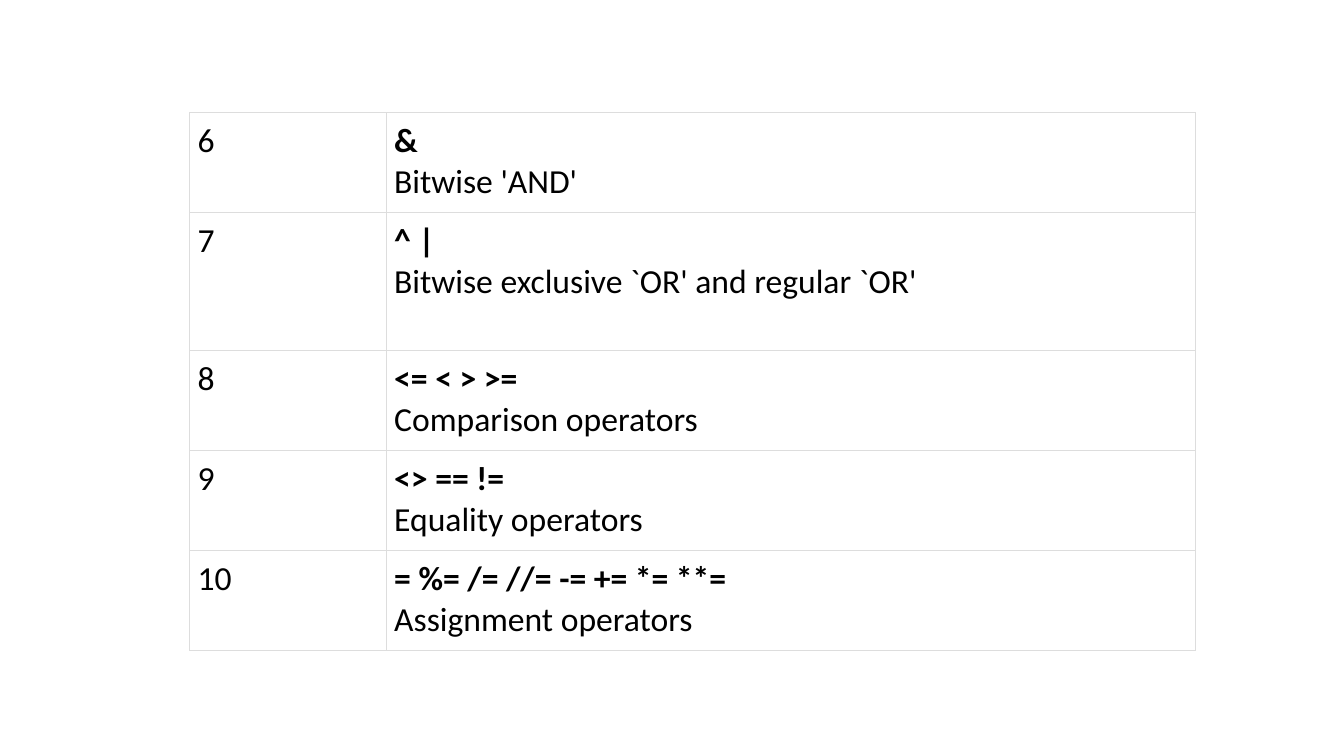
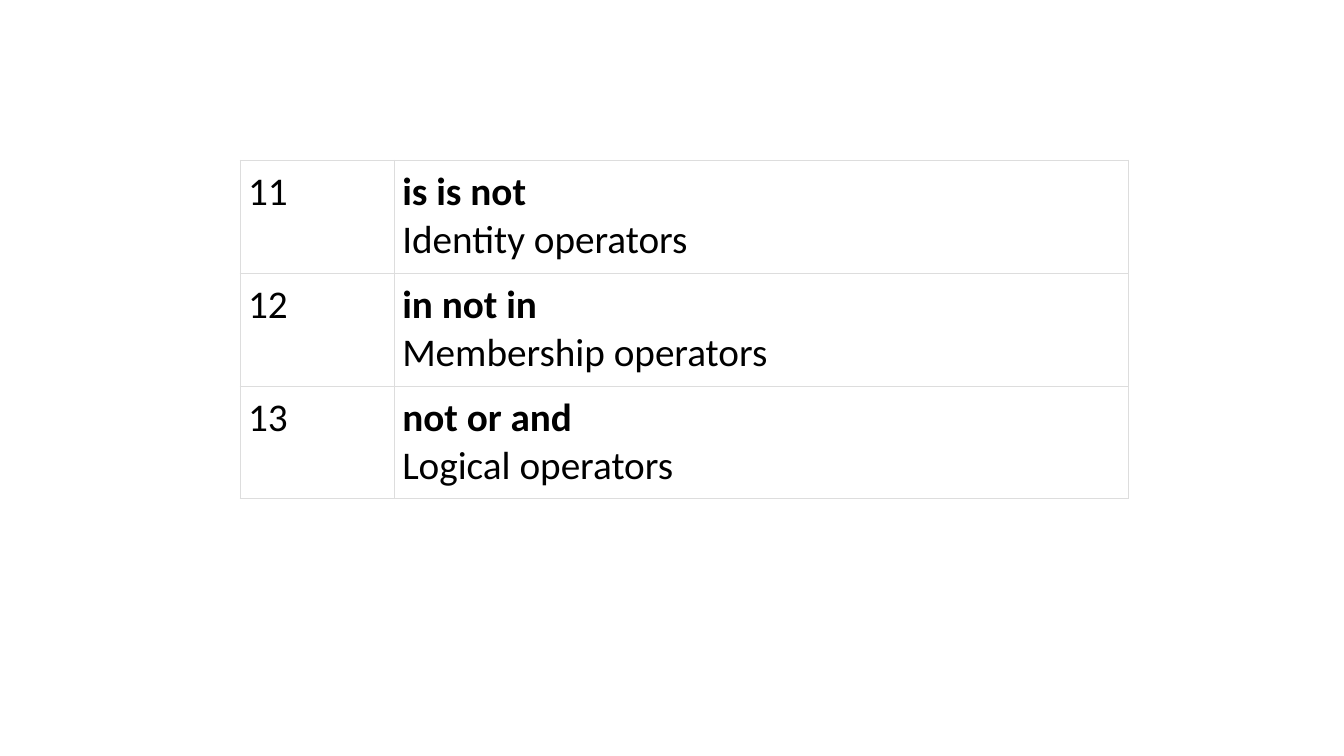
from dataclasses import dataclass

from lxml import etree
from pptx import Presentation
from pptx.dml.color import RGBColor
from pptx.enum import text
from pptx.oxml import ns
from pptx.util import Inches, Pt


@dataclass(frozen=True)
class Theme:
    font: str = "Calibri"
    ink: str = "000000"
    paper: str = "FFFFFF"
    rule: str = "DDDDDD"
    rule_width: float = 0.75
    inset: float = 0.08


THEME = Theme()
SLIDE_SIZE = (13.33, 7.5)

TABLES = [
    {
        "origin": (1.88, 1.12),
        "columns": (1.95, 8.03),
        "row_height": 0.99,
        "taller_rows": {"7": 1.37},
        "text_size": 24,
        "operators": [
            ("6", "&", "Bitwise 'AND'"),
            ("7", "^ |", "Bitwise exclusive `OR' and regular `OR'"),
            ("8", "<= < > >=", "Comparison operators"),
            ("9", "<> == !=", "Equality operators"),
            ("10", "= %= /= //= -= += *= **=", "Assignment operators"),
        ],
    },
    {
        "origin": (2.38, 1.59),
        "columns": (1.53, 7.28),
        "row_height": 1.12,
        "taller_rows": {},
        "text_size": 28,
        "operators": [
            ("11", "is is not", "Identity operators"),
            ("12", "in not in", "Membership operators"),
            ("13", "not or and", "Logical operators"),
        ],
    },
]


def style_cell(cell):
    cell.margin_left = cell.margin_right = Inches(THEME.inset)
    cell.margin_top = cell.margin_bottom = Inches(THEME.inset)
    cell.vertical_anchor = text.MSO_ANCHOR.TOP
    properties = cell._tc.get_or_add_tcPr()
    for side in ("L", "R", "T", "B"):
        line = etree.SubElement(properties, ns.qn(f"a:ln{side}"), w=str(Pt(THEME.rule_width)))
        fill = etree.SubElement(line, ns.qn("a:solidFill"))
        etree.SubElement(fill, ns.qn("a:srgbClr"), val=THEME.rule)
    cell.fill.background()


def write_line(paragraph, words, size, bold=False, alignment=text.PP_ALIGN.LEFT):
    paragraph.alignment = alignment
    run = paragraph.add_run()
    run.text = words
    run.font.name = THEME.font
    run.font.size = Pt(size)
    run.font.bold = bold
    run.font.color.rgb = RGBColor.from_string(THEME.ink)


def add_operator_table(slide, content):
    operators = content["operators"]
    heights = [content["taller_rows"].get(rank, content["row_height"]) for rank, _, _ in operators]
    left, top = content["origin"]
    columns = content["columns"]
    frame = slide.shapes.add_table(
        len(operators), len(columns),
        Inches(left), Inches(top), Inches(sum(columns)), Inches(sum(heights)),
    )
    table = frame.table
    table.first_row = table.horz_banding = False
    for column, width in zip(table.columns, columns):
        column.width = Inches(width)
    size = content["text_size"]
    for row, height, (rank, symbols, meaning) in zip(table.rows, heights, operators):
        row.height = Inches(height)
        rank_cell, operator_cell = row.cells
        for cell in (rank_cell, operator_cell):
            style_cell(cell)
        write_line(rank_cell.text_frame.paragraphs[0], rank, size)
        operator_text = operator_cell.text_frame
        justify = text.PP_ALIGN.JUSTIFY
        write_line(operator_text.paragraphs[0], symbols, size, True, justify)
        write_line(operator_text.add_paragraph(), meaning, size, False, justify)


def main():
    presentation = Presentation()
    presentation.slide_width, presentation.slide_height = map(Inches, SLIDE_SIZE)
    background = presentation.slide_master.background.fill
    background.solid()
    background.fore_color.rgb = RGBColor.from_string(THEME.paper)
    for content in TABLES:
        slide = presentation.slides.add_slide(presentation.slide_layouts[6])
        add_operator_table(slide, content)
    presentation.save("out.pptx")


if __name__ == "__main__":
    main()
